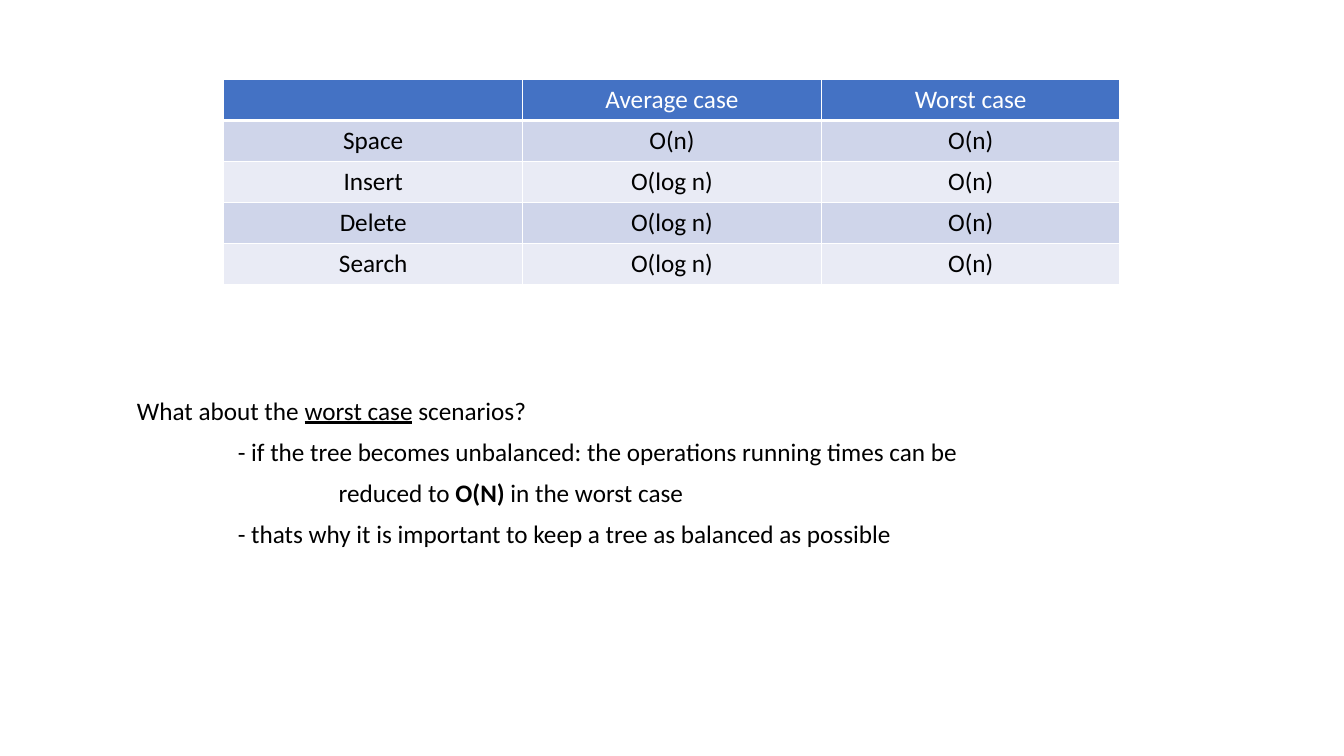
from dataclasses import dataclass

from lxml.etree import fromstring
from pptx import Presentation
from pptx.dml.color import RGBColor as Rgb
from pptx.enum.text import MSO_ANCHOR as Anchor, PP_ALIGN as Align
from pptx.oxml.ns import nsdecls
from pptx.util import Inches, Pt


@dataclass(frozen=True)
class Theme:
    font: str = "Calibri"
    size: int = 18
    text: str = "000000"
    white: str = "FFFFFF"
    header: str = "4472C4"
    bands: tuple = ("CFD5EA", "E9EBF5")


theme = Theme()


def add_text(para, text, color=theme.text, bold=False, underline=False):
    span = para.add_run()
    span.text = text
    span.font.name = theme.font
    span.font.size = Pt(theme.size)
    span.font.color.rgb = Rgb.from_string(color)
    span.font.bold = bold
    span.font.underline = underline


def set_borders(cell, bottom):
    properties = cell._tc.get_or_add_tcPr()
    widths = {"lnL": 1, "lnR": 1, "lnT": 1, "lnB": bottom}
    for index, (side, width) in enumerate(widths.items()):
        properties.insert(index, fromstring(
            f'<a:{side} {nsdecls("a")} w="{Pt(width)}"><a:solidFill>'
            f'<a:srgbClr val="{theme.white}"/></a:solidFill></a:{side}>'))


deck = Presentation()
deck.slide_width = Inches(13.33)
deck.slide_height = Inches(7.5)
page = deck.slides.add_slide(deck.slide_layouts[6])

complexities = [
    ("", "Average case", "Worst case"),
    ("Space", "O(n)", "O(n)"),
    ("Insert", "O(log n)", "O(n)"),
    ("Delete", "O(log n)", "O(n)"),
    ("Search", "O(log n)", "O(n)"),
]
table = page.shapes.add_table(
    len(complexities), 3, Inches(2.22), Inches(0.79), Inches(8.89), Inches(2.03)
).table

for row, values in enumerate(complexities):
    is_header = row == 0
    fill = theme.header if is_header else theme.bands[(row - 1) % 2]
    for column, value in enumerate(values):
        cell = table.cell(row, column)
        cell.fill.solid()
        cell.fill.fore_color.rgb = Rgb.from_string(fill)
        set_borders(cell, bottom=3 if is_header else 1)
        para = cell.text_frame.paragraphs[0]
        para.alignment = Align.CENTER
        para.font.size = Pt(theme.size)
        if value:
            add_text(para, value, color=theme.white if is_header else theme.text)

box = page.shapes.add_textbox(Inches(1.26), Inches(3.27), Inches(9.65), Inches(2.86))
frame = box.text_frame
frame.word_wrap = True
frame.vertical_anchor = Anchor.MIDDLE

notes = [
    (0, [("What about the ", {}), ("worst case", {"underline": True}), (" scenarios?", {})]),
    (1, [("- if the tree becomes unbalanced: the operations running times can be", {})]),
    (2, [("reduced to ", {}), ("O(N)", {"bold": True}), (" in the worst case", {})]),
    (1, [("- thats why it is important to keep a tree as balanced as possible", {})]),
]
for index, (indent, spans) in enumerate(notes):
    para = frame.add_paragraph() if index else frame.paragraphs[0]
    para.line_spacing = 0.9
    para.space_before = Pt(10)
    para._p.get_or_add_pPr().set("marL", str(Inches(indent)))
    for text, style in spans:
        add_text(para, text, **style)

deck.save("out.pptx")
